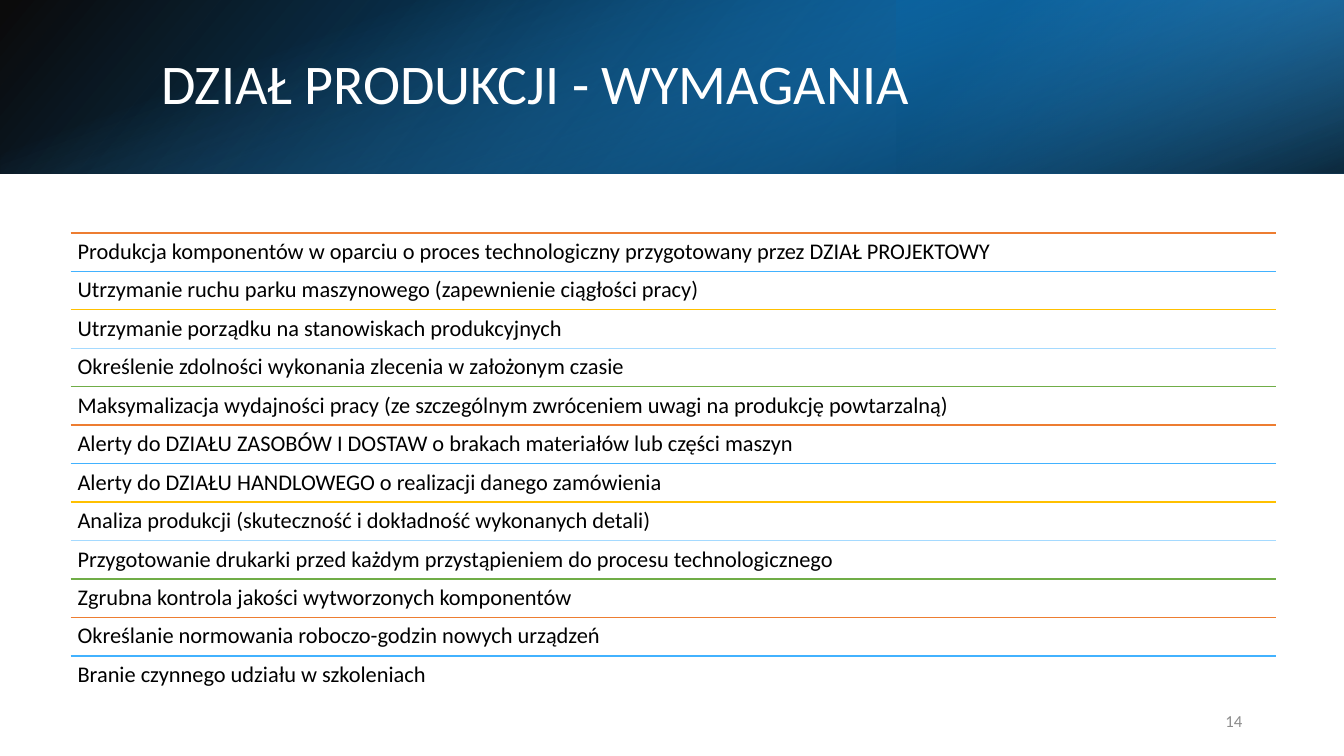
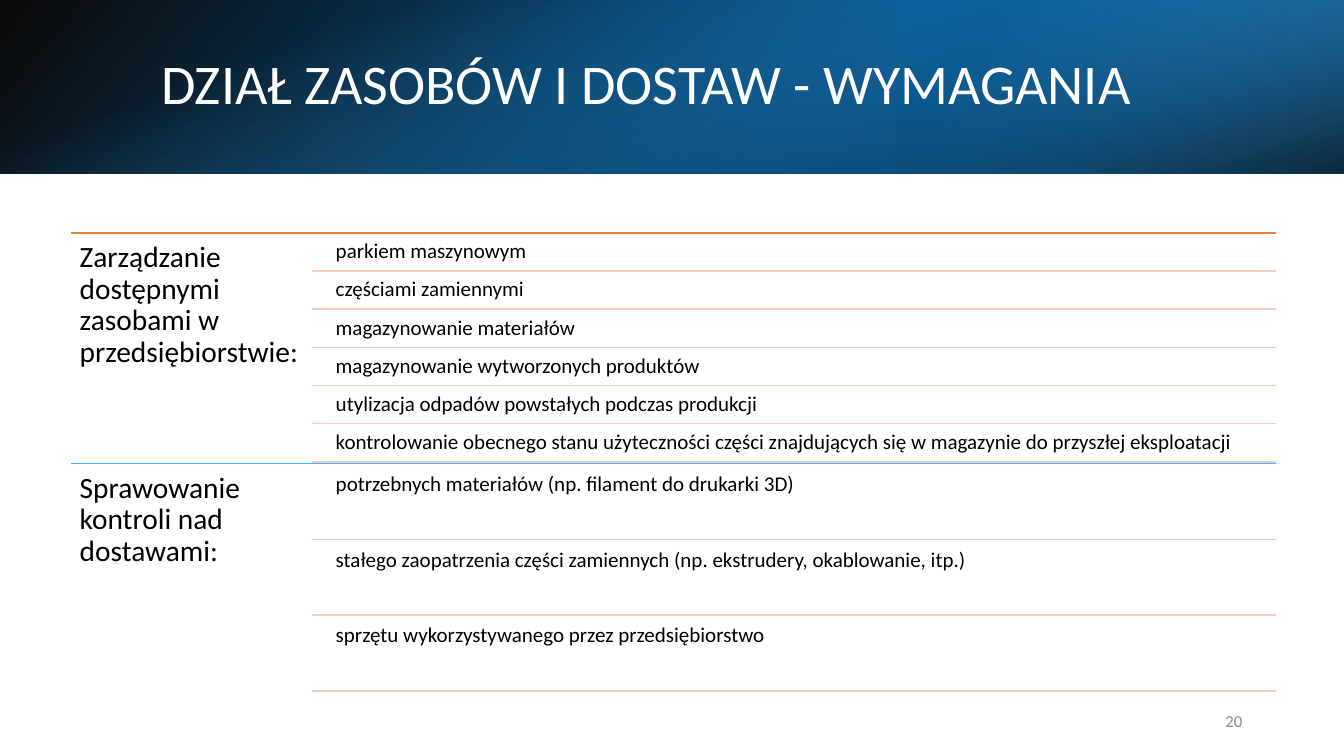
from itertools import cycle

from lxml.etree import SubElement
from pptx import Presentation
from pptx.dml.color import RGBColor
from pptx.enum.shapes import MSO_CONNECTOR, MSO_SHAPE
from pptx.enum.text import MSO_ANCHOR, PP_ALIGN
from pptx.oxml import parse_xml
from pptx.oxml.ns import nsdecls, qn
from pptx.util import Inches, Pt

# Content
PRODUCTION = {
    "title": "DZIAŁ PRODUKCJI - WYMAGANIA",
    "page": "14",
    "rows": [
        "Produkcja komponentów w oparciu o proces technologiczny przygotowany przez DZIAŁ PROJEKTOWY",
        "Utrzymanie ruchu parku maszynowego (zapewnienie ciągłości pracy)",
        "Utrzymanie porządku na stanowiskach produkcyjnych",
        "Określenie zdolności wykonania zlecenia w założonym czasie",
        "Maksymalizacja wydajności pracy (ze szczególnym zwróceniem uwagi na produkcję powtarzalną)",
        "Alerty do DZIAŁU ZASOBÓW I DOSTAW o brakach materiałów lub części maszyn",
        "Alerty do DZIAŁU HANDLOWEGO o realizacji danego zamówienia",
        "Analiza produkcji (skuteczność i dokładność wykonanych detali)",
        "Przygotowanie drukarki przed każdym przystąpieniem do procesu technologicznego",
        "Zgrubna kontrola jakości wytworzonych komponentów",
        "Określanie normowania roboczo-godzin nowych urządzeń",
        "Branie czynnego udziału w szkoleniach",
    ],
}
SUPPLY = {
    "title": "DZIAŁ ZASOBÓW I DOSTAW - WYMAGANIA",
    "page": "20",
    "groups": [
        ("Zarządzanie dostępnymi zasobami w przedsiębiorstwie:", [
            "parkiem maszynowym",
            "częściami zamiennymi",
            "magazynowanie materiałów",
            "magazynowanie wytworzonych produktów",
            "utylizacja odpadów powstałych podczas produkcji",
            "kontrolowanie obecnego stanu użyteczności części znajdujących się w magazynie do przyszłej eksploatacji",
        ]),
        ("Sprawowanie kontroli nad dostawami:", [
            "potrzebnych materiałów (np. filament do drukarki 3D)",
            "stałego zaopatrzenia części zamiennych (np. ekstrudery, okablowanie, itp.)",
            "sprzętu wykorzystywanego przez przedsiębiorstwo",
        ]),
    ],
}

# Shared style
FONT = "Calibri"
BLACK, WHITE, GREY = "000000", "FFFFFF", "8C8C8C"
ACCENTS = ["ED7D31", "42B2FF", "FFC000", "A5DAFF", "70AD47"]
ITEM_RULE = "F6CCBE"
SLIDE_W, SLIDE_H, BAND_H = 13.33, 7.5, 1.72

# Body area, shared by both lists
LEFT, RIGHT, TOP, BODY_H = 0.7, 12.66, 2.31, 4.58
HEAD_W, ITEM_INDENT, ITEM_GAP = 2.39, 0.18, 0.05

# Header layers: box, rotation, flipped, angle, stops (position, colour, opacity)
BAND_LAYERS = [
    ((0, 0, SLIDE_W, BAND_H), 0, True, 140,
     [(0, "000000", 96), (100, "008FF1", 100)]),
    ((8.89, 0, 4.44, BAND_H), 180, True, 320,
     [(19, "005FA0", 68), (100, "42B2FF", 79)]),
    (((SLIDE_W - BAND_H) / 2, (BAND_H - SLIDE_W) / 2, BAND_H, SLIDE_W), 90, False, 340,
     [(23, "42B2FF", 0), (99, "000000", 74)]),
]


def rgb(color):
    return RGBColor.from_string(color)


def gradient_xml(angle, stops):
    gs = "".join(
        f'<a:gs pos="{pos * 1000}"><a:srgbClr val="{color}">'
        f'<a:alpha val="{opacity * 1000}"/></a:srgbClr></a:gs>'
        for pos, color, opacity in stops)
    return parse_xml(
        f'<a:gradFill {nsdecls("a")} rotWithShape="1"><a:gsLst>{gs}</a:gsLst>'
        f'<a:lin ang="{angle * 60000}" scaled="0"/></a:gradFill>')


def add_band(s):
    for box, rotation, flipped, angle, stops in BAND_LAYERS:
        sp = s.shapes.add_shape(MSO_SHAPE.RECTANGLE, *map(Inches, box))
        sp.shadow.inherit = False
        sp.line.fill.background()
        sp.rotation = rotation
        spPr = sp._element.spPr
        if flipped:
            spPr.find(qn("a:xfrm")).set("flipH", "1")
        spPr.find(qn("a:prstGeom")).addnext(gradient_xml(angle, stops))


def add_text(s, text, x, y, w, h, size, color=BLACK, inset=None,
             anchor=MSO_ANCHOR.TOP, align=PP_ALIGN.LEFT, spacing=0.9):
    tf = s.shapes.add_textbox(*map(Inches, (x, y, w, h))).text_frame
    tf.word_wrap = True
    tf.vertical_anchor = anchor
    if inset is not None:
        tf.margin_left = tf.margin_right = tf.margin_top = tf.margin_bottom = Inches(inset)
    p = tf.paragraphs[0]
    p.text = text
    p.alignment = align
    p.line_spacing = spacing
    p.font.name = FONT
    p.font.size = Pt(size)
    p.font.color.rgb = rgb(color)


def add_rule(s, x, y, color):
    line = s.shapes.add_connector(
        MSO_CONNECTOR.STRAIGHT, Inches(x), Inches(y), Inches(RIGHT), Inches(y))
    line.line.color.rgb = rgb(color)
    line.line.width = Pt(1)
    SubElement(line._element.spPr, qn("a:effectLst"))


def add_base(prs, content):
    s = prs.slides.add_slide(prs.slide_layouts[6])
    add_band(s)
    add_text(s, content["title"], 1.5, 0.38, 10.98, 0.96, 40, WHITE,
             anchor=MSO_ANCHOR.MIDDLE)
    add_text(s, content["page"], 9.42, 6.95, 3, 0.4, 12, GREY,
             anchor=MSO_ANCHOR.MIDDLE, align=PP_ALIGN.RIGHT, spacing=1)
    return s


def add_rows(s, rows):
    row_h = BODY_H / len(rows)
    for i, (text, color) in enumerate(zip(rows, cycle(ACCENTS))):
        y = TOP + i * row_h
        add_rule(s, LEFT, y, color)
        add_text(s, text, LEFT, y, RIGHT - LEFT, row_h, 16, inset=0.07)


def add_groups(s, groups):
    group_h = BODY_H / len(groups)
    item_x = LEFT + HEAD_W
    text_x = item_x + ITEM_INDENT
    for i, ((heading, items), color) in enumerate(zip(groups, ACCENTS)):
        y = TOP + i * group_h
        add_rule(s, LEFT, y, color)
        add_text(s, heading, LEFT, y, HEAD_W, group_h, 21, inset=0.09)
        # Items share the group height, with a gap before each and after the last
        item_h = group_h / (len(items) * (1 + ITEM_GAP) + ITEM_GAP)
        for j, text in enumerate(items):
            item_y = y + item_h * (ITEM_GAP + j * (1 + ITEM_GAP))
            add_text(s, text, text_x, item_y, RIGHT - text_x, item_h, 15, inset=0.06)
            add_rule(s, item_x, item_y + item_h, ITEM_RULE)


def main():
    prs = Presentation()
    prs.slide_width, prs.slide_height = Inches(SLIDE_W), Inches(SLIDE_H)
    add_rows(add_base(prs, PRODUCTION), PRODUCTION["rows"])
    add_groups(add_base(prs, SUPPLY), SUPPLY["groups"])
    prs.save("out.pptx")


if __name__ == "__main__":
    main()
